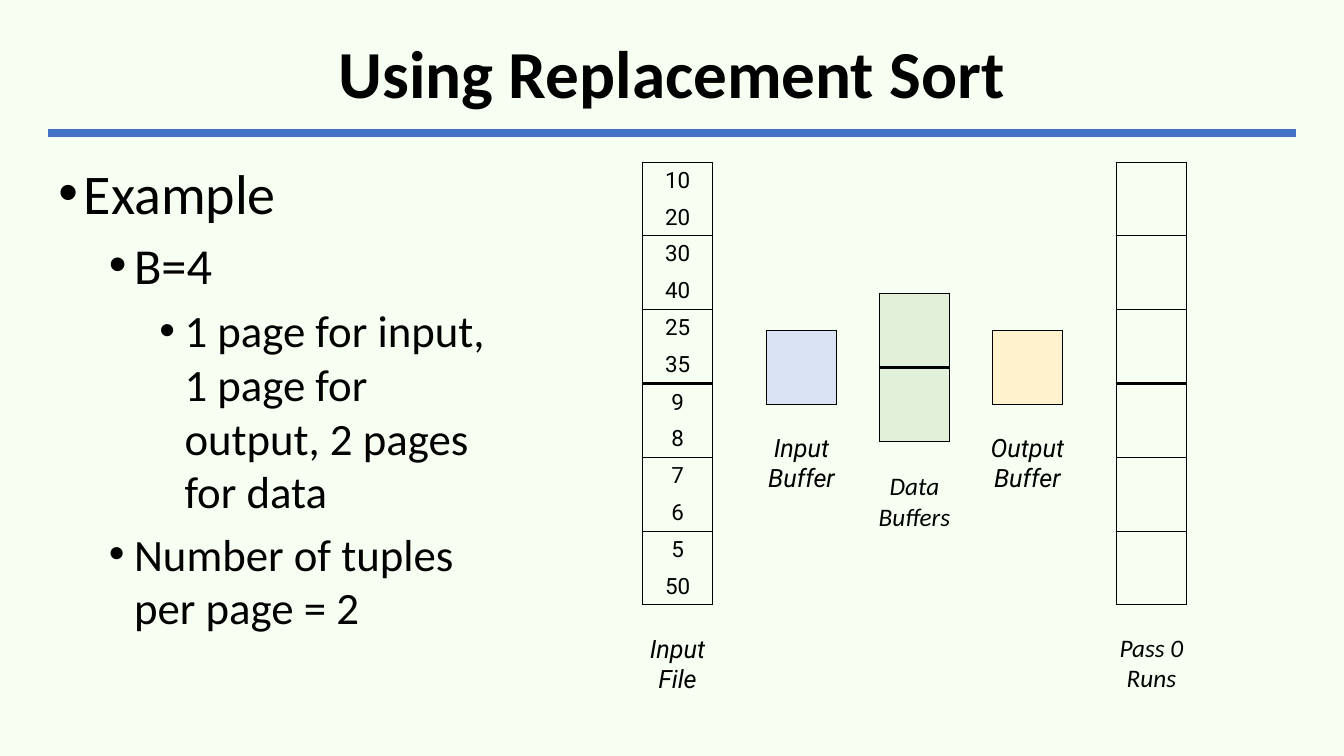
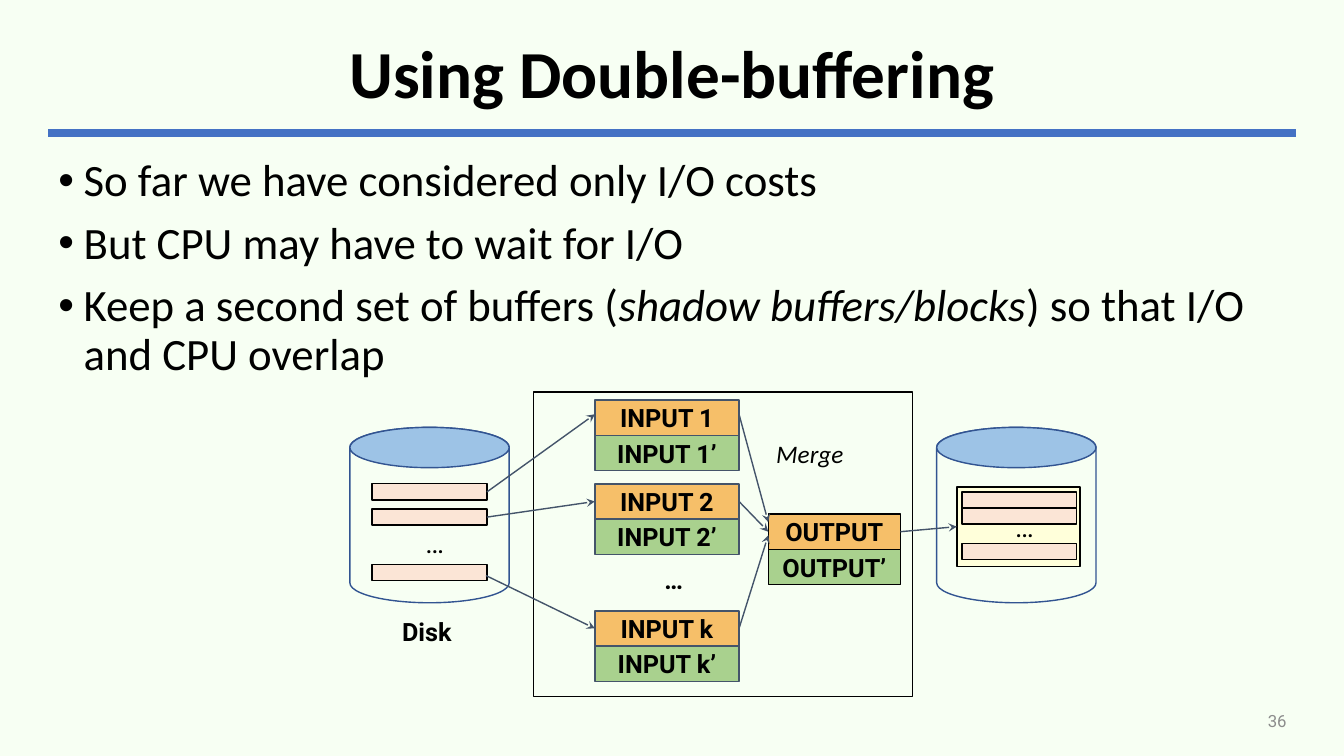
from dataclasses import dataclass

from lxml.etree import SubElement
from pptx import Presentation
from pptx.dml.color import RGBColor
from pptx.enum.shapes import MSO_CONNECTOR as Connector, MSO_SHAPE as Shape
from pptx.enum.text import MSO_ANCHOR as Anchor, MSO_AUTO_SIZE as AutoSize, PP_ALIGN as Align
from pptx.oxml.ns import qn
from pptx.util import Emu, Pt

EMU_PER_PX = 9144
TOP, LEFT, BOTTOM, RIGHT = range(4)


@dataclass(frozen=True)
class Theme:
    background: str = "F7FFF3"
    rule: str = "4472C4"
    ink: str = "000000"
    slate: str = "44546A"
    muted: str = "8C8C8C"
    input_page: str = "DAE3F3"
    data_page: str = "E2F0D9"
    output_page: str = "FFF2CC"
    buffer: str = "F6BF69"
    shadow_buffer: str = "A9D18E"
    block: str = "FBE5D6"
    block_holder: str = "FFFFDA"
    disk_top: str = "9DC3E6"
    disk_line: str = "325491"
    heading_font: str = "Calibri"
    diagram_font: str = "Roboto"
    title_size: int = 48
    body_sizes: tuple = (40, 36, 32)
    dots_size: int = 20
    label_size: int = 18
    cell_size: int = 16
    number_size: int = 12


THEME = Theme()
BODY_BOX = (48, 152, 1237, 543)


def px(length):
    return Emu(length * EMU_PER_PX)


def place(shape, box):
    for name, length in zip(("left", "top", "width", "height"), box):
        setattr(shape, name, px(length))


def format_font(font, color=THEME.ink, **values):
    """Set font attributes by name; size is given in points."""
    font.color.rgb = RGBColor.from_string(color)
    for name, value in values.items():
        setattr(font, name, Pt(value) if name == "size" else value)


def paint(shape, fill, line):
    shape.shadow.inherit = False
    if fill:
        shape.fill.solid()
        shape.fill.fore_color.rgb = RGBColor.from_string(fill)
    else:
        shape.fill.background()
    shape.line.color.rgb = RGBColor.from_string(line)
    shape.line.width = Pt(1)


def add_line(slide, start, end, color, width):
    """Draw a line; each end is a point or a (shape, side) pair to join."""
    joins = [not isinstance(point[0], int) for point in (start, end)]
    corners = [(0, 0) if joined else point for joined, point in zip(joins, (start, end))]
    line = slide.shapes.add_connector(
        Connector.STRAIGHT, *(px(value) for corner in corners for value in corner))
    for joined, connect, point in zip(joins, (line.begin_connect, line.end_connect), (start, end)):
        if joined:
            connect(*point)
    line.line.color.rgb = RGBColor.from_string(color)
    line.line.width = Pt(width)
    SubElement(line.element.spPr, qn("a:effectLst"))
    return line


def add_arrow(slide, start, end):
    arrow = add_line(slide, start, end, THEME.slate, 1)
    SubElement(arrow.line._get_or_add_ln(), qn("a:tailEnd"), type="stealth")


def add_label(slide, text, box, align=Align.LEFT, wrap=True, anchor=Anchor.TOP, **font):
    label = slide.shapes.add_textbox(*map(px, box))
    frame = label.text_frame
    frame.word_wrap, frame.vertical_anchor = wrap, anchor
    paragraph = frame.paragraphs[0]
    paragraph.alignment = align
    run = paragraph.add_run()
    run.text = text
    format_font(run.font, **({"name": THEME.diagram_font, "size": THEME.label_size} | font))


def add_box(slide, box, fill, line=THEME.ink, text="", kind=Shape.RECTANGLE):
    shape = slide.shapes.add_shape(kind, *map(px, box))
    paint(shape, fill, line)
    if text:
        frame = shape.text_frame
        frame.margin_top = frame.margin_bottom = 0
        frame.vertical_anchor = Anchor.MIDDLE
        paragraph = frame.paragraphs[0]
        paragraph.alignment = Align.CENTER
        run = paragraph.add_run()
        run.text = text
        format_font(run.font, name=THEME.diagram_font, size=THEME.label_size, bold=True)
    return shape


def set_borders(cell, sides):
    """Give the named sides (L, R, T, B) a thin line and clear the others."""
    properties = cell._tc.get_or_add_tcPr()
    for side in "LRTB":
        border = SubElement(properties, qn(f"a:ln{side}"), w=str(Pt(1)))
        if side in sides:
            fill = SubElement(border, qn("a:solidFill"))
            SubElement(fill, qn("a:srgbClr"), val=THEME.ink)
        else:
            SubElement(border, qn("a:noFill"))


def add_page(slide, left, top, tuples=("", ""), fill=None):
    """Draw one page: a table with a row for each of its tuples."""
    table = slide.shapes.add_table(len(tuples), 1, *map(px, (left, top, 70, 73))).table
    table.first_row = table.horz_banding = False
    for row, (text, sides) in enumerate(zip(tuples, ("LRT", "LRB"))):
        cell = table.cell(row, 0)
        set_borders(cell, sides)
        cell.margin_top = cell.margin_bottom = 0
        cell.vertical_anchor = Anchor.MIDDLE
        if fill:
            cell.fill.solid()
            cell.fill.fore_color.rgb = RGBColor.from_string(fill)
        else:
            cell.fill.background()
        if text:
            paragraph = cell.text_frame.paragraphs[0]
            paragraph.alignment = Align.CENTER
            run = paragraph.add_run()
            run.text = text
            format_font(run.font, name=THEME.diagram_font, size=THEME.cell_size)


def style_master(master):
    background = master.background.fill
    background.solid()
    background.fore_color.rgb = RGBColor.from_string(THEME.background)
    title, body = list(master.placeholders)[:2]
    place(title, (48, 24, 1237, 104))
    place(body, BODY_BOX)
    styles = master.element.find(qn("p:txStyles"))
    title_font = styles.find(f"{qn('p:titleStyle')}/{qn('a:lvl1pPr')}/{qn('a:defRPr')}")
    title_font.set("sz", str(THEME.title_size * 100))
    title_font.set("b", "1")
    for level in range(3):
        bullet_style = styles.find(f"{qn('p:bodyStyle')}/{qn(f'a:lvl{level + 1}pPr')}")
        bullet_style.set("marL", str(px(25 + 50 * level)))
        bullet_style.set("indent", str(px(-25)))
        bullet_style.find(qn("a:buChar")).set("char", "•")


def add_content_slide(presentation, title, bullets, spacing, body_box=BODY_BOX):
    """Add a titled slide; each bullet is (level, size, runs), odd runs in italics."""
    slide = presentation.slides.add_slide(presentation.slide_layouts[1])
    heading, body = slide.shapes.title, slide.placeholders[1]
    heading.text = title
    heading.text_frame.auto_size = AutoSize.NONE
    heading.text_frame.paragraphs[0].line_spacing = 0.9
    format_font(heading.text_frame.paragraphs[0].runs[0].font, name=THEME.heading_font)
    place(body, body_box)
    frame = body.text_frame
    frame.auto_size = AutoSize.NONE
    for index, (level, size, runs) in enumerate(bullets):
        paragraph = frame.add_paragraph() if index else frame.paragraphs[0]
        paragraph.level = level
        for name, value in spacing.items():
            setattr(paragraph, name, value)
        for position, text in enumerate(runs):
            run = paragraph.add_run()
            run.text = text
            format_font(run.font, name=THEME.heading_font, size=size, italic=position % 2 == 1)
    return slide


def build_replacement_sort(presentation):
    large, medium, small = THEME.body_sizes
    slide = add_content_slide(presentation, "Using Replacement Sort", [
        (0, large, ["Example"]),
        (1, medium, ["B=4"]),
        (2, small, ["1 page for input, 1 page for output, 2 pages for data"]),
        (1, small, ["Number of tuples per page = 2"]),
    ], {"space_before": Pt(6), "line_spacing": 1.0}, (48, 152, 471, 543))

    file_pages = [("10", "20"), ("30", "40"), ("25", "35"), ("9", "8"), ("7", "6"), ("5", "50")]
    for index, tuples in enumerate(file_pages):
        top = round(161 + 73.2 * index)
        add_page(slide, 637, top, tuples)
        add_page(slide, 1107, top)
    for left, top, fill in [
        (760, 328, THEME.input_page),
        (872, 291, THEME.data_page),
        (872, 365, THEME.data_page),
        (984, 328, THEME.output_page),
    ]:
        add_page(slide, left, top, fill=fill)
    for text, page_left, top, font in [
        ("Input File", 637, 623, THEME.diagram_font),
        ("Input Buffer", 760, 424, THEME.diagram_font),
        ("Data Buffers", 872, 462, THEME.heading_font),
        ("Output Buffer", 984, 424, THEME.diagram_font),
        ("Pass 0 Runs", 1107, 622, THEME.heading_font),
    ]:
        add_label(slide, text, (page_left - 13, top, 96, 71), Align.CENTER, name=font, italic=True)
    return slide


def add_disk(slide, left):
    add_box(slide, (left, 424, 158, 174), None, THEME.disk_line, kind=Shape.CAN)
    add_box(slide, (left, 424, 158, 40), THEME.disk_top, THEME.disk_line, kind=Shape.OVAL)


def add_blocks(slide, left, tops, dots_top):
    """Draw disk blocks with dots for those left out; return the blocks."""
    blocks = [add_box(slide, (left, top, 114, 16), THEME.block) for top in tops]
    add_label(slide, "…", (left + 43, dots_top, 70, 44), size=THEME.dots_size)
    return blocks


def add_buffer_pair(slide, name, left, top, width, line):
    """Draw a buffer above its shadow buffer; return the upper one."""
    buffer = add_box(slide, (left, top, width, 35), THEME.buffer, line, name)
    add_box(slide, (left, top + 35, width, 35), THEME.shadow_buffer, line, name + "’")
    return buffer


def build_double_buffering(presentation):
    size = THEME.body_sizes[2]
    slide = add_content_slide(presentation, "Using Double-buffering", [
        (0, size, ["So far we have considered only I/O costs"]),
        (0, size, ["But CPU may have to wait for I/O"]),
        (0, size, ["Keep a second set of buffers (", "shadow buffers/blocks",
                   ") so that I/O and CPU overlap"]),
    ], {"space_before": Pt(10), "line_spacing": 0.9})

    add_label(slide, "36", (942, 695, 344, 40), Align.RIGHT, anchor=Anchor.MIDDLE,
              size=THEME.number_size, color=THEME.muted)
    add_box(slide, (529, 389, 376, 302), None)
    for left in (347, 929):
        add_disk(slide, left)
    run_holder = add_box(slide, (949, 483, 122, 79), THEME.block_holder)
    first, second, last = add_blocks(slide, 369, (480, 505, 560), 516)
    add_blocks(slide, 954, (488, 504, 539), 501)

    _, input_2, input_k = [
        add_buffer_pair(slide, f"INPUT {name}", 590, top, 143, THEME.slate)
        for name, top in (("1", 397), ("2", 480), ("k", 606))]
    output = add_buffer_pair(slide, "OUTPUT", 762, 510, 131, THEME.ink)

    for start, end in [
        ((first, RIGHT), (590, 411)),
        ((second, RIGHT), (input_2, LEFT)),
        ((482, 571), (input_k, LEFT)),
        ((733, 411), (762, 518)),
        ((input_2, RIGHT), (output, LEFT)),
        ((input_k, RIGHT), (762, 531)),
        ((output, RIGHT), (run_holder, LEFT)),
    ]:
        add_arrow(slide, start, end)

    add_label(slide, "Disk", (389, 607, 73, 40), wrap=False, bold=True)
    add_label(slide, "Merge", (760, 430, 108, 40), name=THEME.heading_font, italic=True)
    add_label(slide, "…", (649, 555, 58, 40), bold=True)


def main():
    presentation = Presentation()
    presentation.slide_width, presentation.slide_height = px(1333), px(750)
    master = presentation.slide_master
    style_master(master)
    first_slide = build_replacement_sort(presentation)
    # Masters offer no add_connector, so the rule is drawn on a slide and moved.
    rule = add_line(first_slide, (48, 132), (1285, 132), THEME.rule, 6)
    master.shapes.element.append(rule.element)
    build_double_buffering(presentation)
    presentation.save("out.pptx")


if __name__ == "__main__":
    main()
